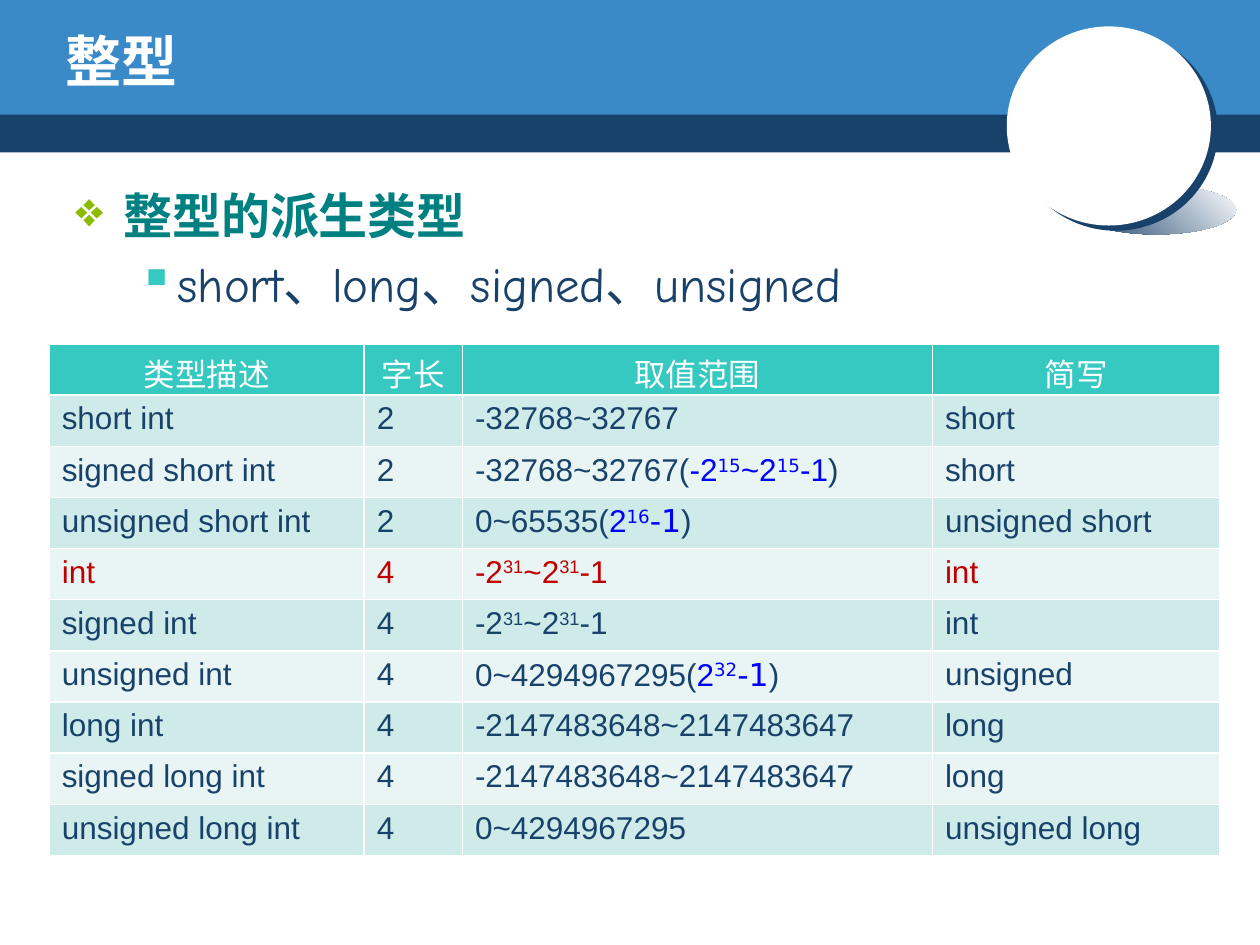
"""Build a slide on the derived integer types of C."""
from lxml import etree
from pptx import Presentation
from pptx.dml.color import RGBColor
from pptx.enum import shapes, text
from pptx.oxml import ns
from pptx.util import Inches, Pt

NAVY = RGBColor(0x19, 0x42, 0x6B)
SKY = RGBColor(0x39, 0x8A, 0xC7)
WHITE = RGBColor(0xFF, 0xFF, 0xFF)
TEAL = RGBColor(0x00, 0x80, 0x80)
AQUA = RGBColor(0x35, 0xC9, 0xC2)
LIME = RGBColor(0x8B, 0xBC, 0x00)
BLUE = RGBColor(0x00, 0x00, 0xFF)
RED = RGBColor(0xC0, 0x00, 0x00)
BANDS = (RGBColor(0xCE, 0xEB, 0xE9), RGBColor(0xE8, 0xF5, 0xF4))

HEADING_FONT, TABLE_FONT, POWER_FONT = "Comic Neue", "Arial", "DejaVu Sans"
COLUMN_WIDTHS = (2.5, 0.78, 3.73, 2.28)
ROW_HEIGHT = 0.406

HEADERS = ("类型描述", "字长", "取值范围", "简写")
SIGNED_32 = [("-2", ""), ("31", "super"), ("~2", ""), ("31", "super"), ("-1", "")]
SIGNED_16 = [("-32768~32767(", ""), ("-2", "blue"), ("15", "blue power super"),
             ("~2", "blue"), ("15", "blue power super"), ("-1", "blue"), (")", "")]


def unsigned_range(maximum, bits):
    """Return the runs of an unsigned range with its power of two."""
    return [(f"0~{maximum}(", ""), ("2", "blue"), (bits, "blue power super"),
            ("-1", "blue power"), (")", "")]


INTEGER_TYPES = (
    ("short int", "2", "-32768~32767", "short"),
    ("signed short int", "2", SIGNED_16, "short"),
    ("unsigned short int", "2", unsigned_range("65535", "16"), "unsigned short"),
    ("int", "4", SIGNED_32, "int"),
    ("signed int", "4", SIGNED_32, "int"),
    ("unsigned int", "4", unsigned_range("4294967295", "32"), "unsigned"),
    ("long int", "4", "-2147483648~2147483647", "long"),
    ("signed long int", "4", "-2147483648~2147483647", "long"),
    ("unsigned long int", "4", "0~4294967295", "unsigned long"),
)


def add_xml(parent, tag, **attributes):
    """Append a DrawingML element and return it."""
    return etree.SubElement(parent, ns.qn(tag), attributes)


def set_font(font, name, size, color, bold=False):
    """Set the face, size, colour and weight of a font."""
    font.name, font.size, font.bold = name, Pt(size), bold
    font.color.rgb = color


def add_plain_shape(parent, preset, box, color=None):
    """Add a shape without outline or shadow."""
    shape = parent.add_shape(preset, *map(Inches, box))
    shape.shadow.inherit = False
    shape.line.fill.background()
    if color is not None:
        shape.fill.solid()
        shape.fill.fore_color.rgb = color
    return shape


def add_disc(slide):
    """Add the white disc with its crescent and cast shadow."""
    group = slide.shapes.add_group_shape().shapes
    cast = add_plain_shape(group, shapes.MSO_SHAPE.OVAL, (8.54, 1.47, 1.27, 0.39))
    cast.fill.gradient()
    cast.fill.gradient_angle = 45
    for stop, color, position in zip(cast.fill.gradient_stops, (NAVY, WHITE), (0, 1)):
        stop.color.rgb = color
        stop.position = position
    disc = add_plain_shape(group, shapes.MSO_SHAPE.OVAL, (7.99, 0.21, 1.62, 1.58), WHITE)
    effects = disc._element.spPr.find(ns.qn("a:effectLst"))
    crescent = add_xml(effects, "a:outerShdw", blurRad="0", dist=str(Pt(5)),
                       dir=str(37 * 60000), algn="ctr", rotWithShape="0")
    add_xml(crescent, "a:srgbClr", val=str(NAVY))


def add_text_frame(slide, box, anchor):
    """Add a wrapping text box and return its frame."""
    frame = slide.shapes.add_textbox(*map(Inches, box)).text_frame
    frame.word_wrap = True
    frame.vertical_anchor = anchor
    return frame


def add_bullet(paragraph, char, color, left, hanging):
    """Give a paragraph a coloured bullet with a hanging indent."""
    properties = paragraph._p.get_or_add_pPr()
    properties.set("marL", str(Inches(left)))
    properties.set("indent", str(-Inches(hanging)))
    add_xml(add_xml(properties, "a:buClr"), "a:srgbClr", val=str(color))
    add_xml(properties, "a:buChar", char=char)


def add_heading(slide):
    """Add the slide title."""
    title = add_text_frame(slide, (0.42, 0.17, 8.08, 0.62), text.MSO_ANCHOR.MIDDLE).paragraphs[0]
    title.text = "整型"
    set_font(title.font, HEADING_FONT, 32, WHITE, True)


def add_outline(slide):
    """Add the topic and the list of type modifiers."""
    frame = add_text_frame(slide, (0.5, 1.42, 8.92, 1.08), text.MSO_ANCHOR.TOP)
    topic = frame.paragraphs[0]
    topic.text = "整型的派生类型"
    add_bullet(topic, "❖", LIME, 0.38, 0.38)
    set_font(topic.font, HEADING_FONT, 28, TEAL, True)
    modifiers = frame.add_paragraph()
    modifiers.text = "short、long、signed、unsigned"
    modifiers.level = 1
    add_bullet(modifiers, "▪", AQUA, 0.81, 0.31)
    modifiers.space_before = Pt(5.6)
    set_font(modifiers.font, HEADING_FONT, 28, NAVY)


def fill_cell(cell, content, fill, color, align):
    """Write a cell's text or runs and set its borders and fill."""
    properties = cell._tc.get_or_add_tcPr()
    for side in ("a:lnL", "a:lnR", "a:lnT", "a:lnB"):
        border = add_xml(properties, side, w=str(Pt(1)))
        add_xml(add_xml(border, "a:solidFill"), "a:srgbClr", val=str(WHITE))
    cell.fill.solid()
    cell.fill.fore_color.rgb = fill
    paragraph = cell.text_frame.paragraphs[0]
    paragraph.alignment = align
    if isinstance(content, str):
        paragraph.text = content
        set_font(paragraph.font, TABLE_FONT, 18, color)
        return
    for piece, style in content:
        run = paragraph.add_run()
        run.text = piece
        set_font(run.font, POWER_FONT if "power" in style else TABLE_FONT, 18,
                 BLUE if "blue" in style else color)
        if "super" in style:
            run._r.get_or_add_rPr().set("baseline", "30000")


def add_type_table(slide):
    """Add the table of integer types, with plain int in red."""
    row_count = len(INTEGER_TYPES) + 1
    table = slide.shapes.add_table(
        row_count, len(HEADERS), Inches(0.39), Inches(2.73),
        Inches(sum(COLUMN_WIDTHS)), Inches(ROW_HEIGHT * row_count)).table
    for column, width in zip(table.columns, COLUMN_WIDTHS):
        column.width = Inches(width)
    for cell, header in zip(table.rows[0].cells, HEADERS):
        fill_cell(cell, header, AQUA, WHITE, text.PP_ALIGN.CENTER)
    for index, values in enumerate(INTEGER_TYPES):
        color = RED if values[0] == "int" else NAVY
        for cell, value in zip(table.rows[index + 1].cells, values):
            fill_cell(cell, value, BANDS[index % 2], color, text.PP_ALIGN.LEFT)


def main():
    """Build and save the slide."""
    deck = Presentation()
    deck.slide_width, deck.slide_height = Inches(10), Inches(7.5)
    slide = deck.slides.add_slide(deck.slide_layouts[6])
    add_plain_shape(slide.shapes, shapes.MSO_SHAPE.RECTANGLE, (0, 0.87, 10, 0.34), NAVY)
    add_plain_shape(slide.shapes, shapes.MSO_SHAPE.RECTANGLE, (0, 0, 10, 0.91), SKY)
    add_disc(slide)
    add_heading(slide)
    add_outline(slide)
    add_type_table(slide)
    deck.save("out.pptx")


if __name__ == "__main__":
    main()
